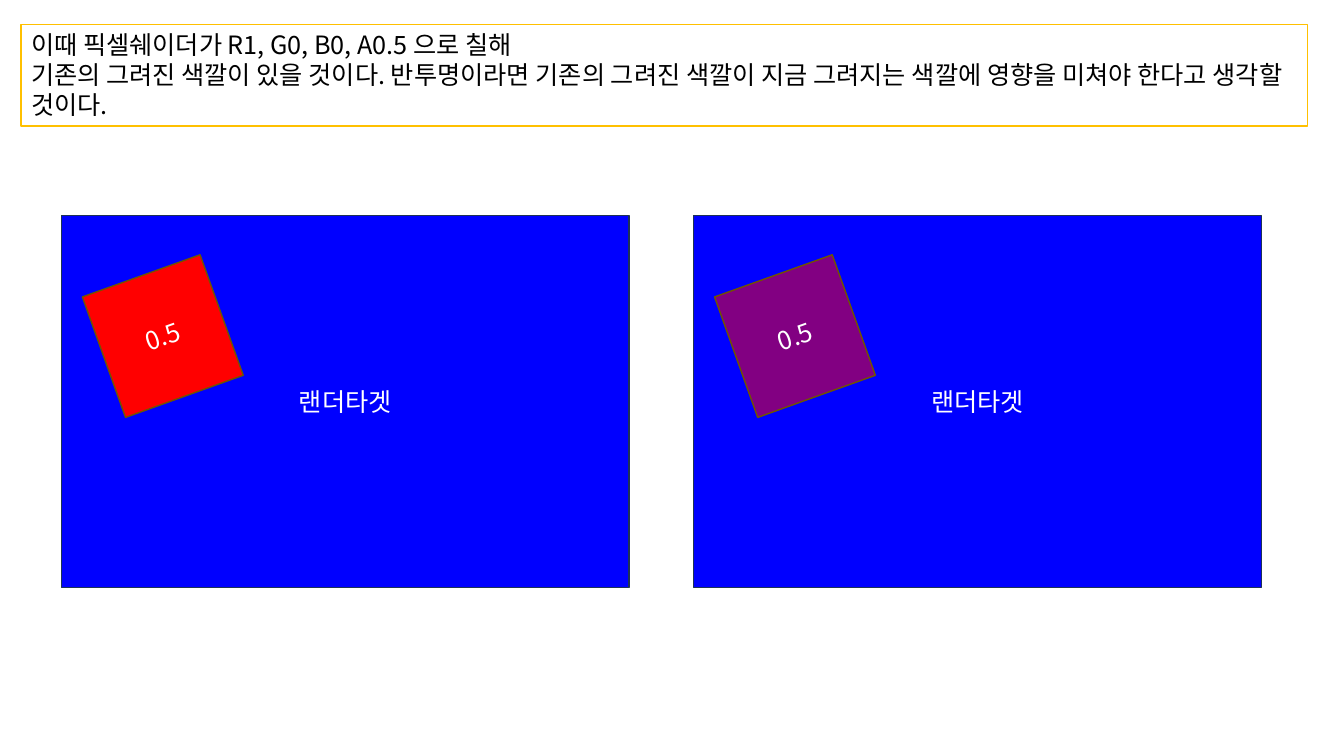
import pptx
import pptx.util
import pptx.dml.color
import pptx.enum.shapes
import pptx.enum.text
import pptx.oxml.ns
import lxml.etree

NOTE = [
    "이때 픽셀쉐이더가 R1, G0, B0, A0.5 으로 칠해",
    "기존의 그려진 색깔이 있을 것이다. 반투명이라면 기존의 그려진 색깔이 "
    "지금 그려지는 색깔에 영향을 미쳐야 한다고 생각할 것이다.",
]
TARGET = "랜더타겟"
ALPHA = "0.5"
TILES = ["red", "purple"]

FONT = "Noto Sans CJK KR"
COLORS = {
    "white": "FFFFFF", "black": "000000", "blue": "0000FF", "navy": "1E3256",
    "red": "FF0000", "purple": "820082", "brown": "705400", "gold": "FFC000",
}
LEFT, TOP, STEP = 0.61, 2.14, 6.27
INSET_X, INSET_Y = 0.385, 0.56
TILT = 340.3

Inches = pptx.util.Inches
ALIGN = pptx.enum.text.PP_ALIGN
ANCHOR = pptx.enum.text.MSO_ANCHOR


def tint(name):
    return pptx.dml.color.RGBColor.from_string(COLORS[name])


def write(frame, lines, color="white", size=18, align=ALIGN.CENTER,
          anchor=ANCHOR.MIDDLE):
    frame.word_wrap = True
    frame.vertical_anchor = anchor
    for i, line in enumerate(lines):
        para = frame.add_paragraph() if i else frame.paragraphs[0]
        para.alignment = align
        run = para.add_run()
        run.text = line
        run.font.size = pptx.util.Pt(size)
        run.font.color.rgb = tint(color)
        run.font.name = FONT
        # Korean glyphs take the East Asian typeface
        east = lxml.etree.SubElement(run.font._element,
                                     pptx.oxml.ns.qn("a:ea"))
        east.set("typeface", FONT)


def add_box(slide, place, fill, line, lines, angle=0, **style):
    box = slide.shapes.add_shape(pptx.enum.shapes.MSO_SHAPE.RECTANGLE,
                                 *map(Inches, place))
    box.shadow.inherit = False
    box.rotation = angle
    box.fill.solid()
    box.fill.fore_color.rgb = tint(fill)
    box.line.color.rgb = tint(line)
    box.line.width = pptx.util.Pt(1)
    write(box.text_frame, lines, **style)


def main():
    deck = pptx.Presentation()
    deck.slide_width, deck.slide_height = Inches(13.33), Inches(7.5)
    slide = deck.slides.add_slide(deck.slide_layouts[6])

    add_box(slide, (0.21, 0.24, 12.76, 1.01), "white", "gold", NOTE,
            color="black", align=ALIGN.LEFT, anchor=ANCHOR.TOP)
    for i, tile in enumerate(TILES):
        x = LEFT + i * STEP
        add_box(slide, (x, TOP, 5.63, 3.69), "blue", "navy", [TARGET])
        add_box(slide, (x + INSET_X, TOP + INSET_Y, 1.24, 1.27), tile,
                "brown", [ALPHA], angle=TILT)

    deck.save("out.pptx")


if __name__ == "__main__":
    main()
